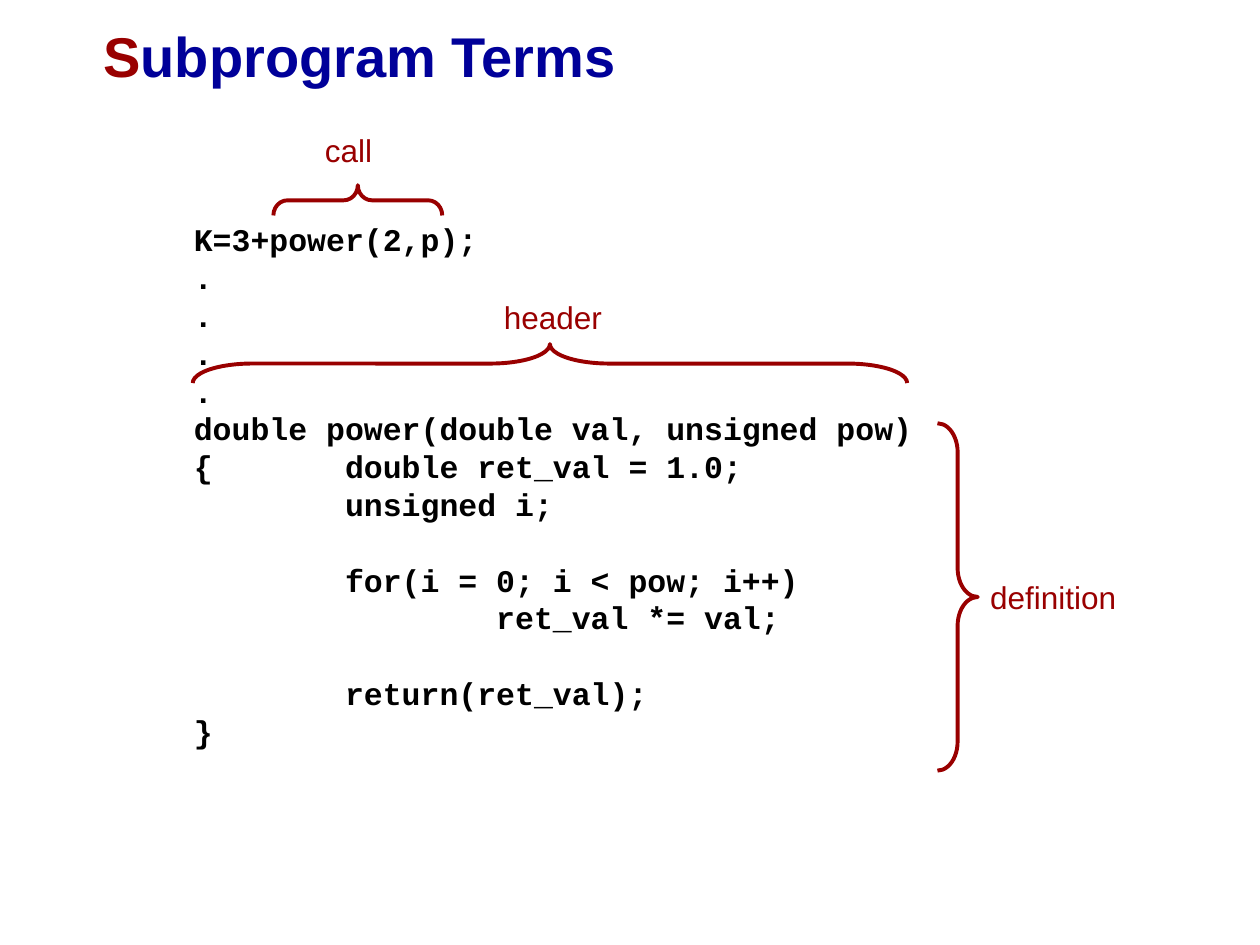
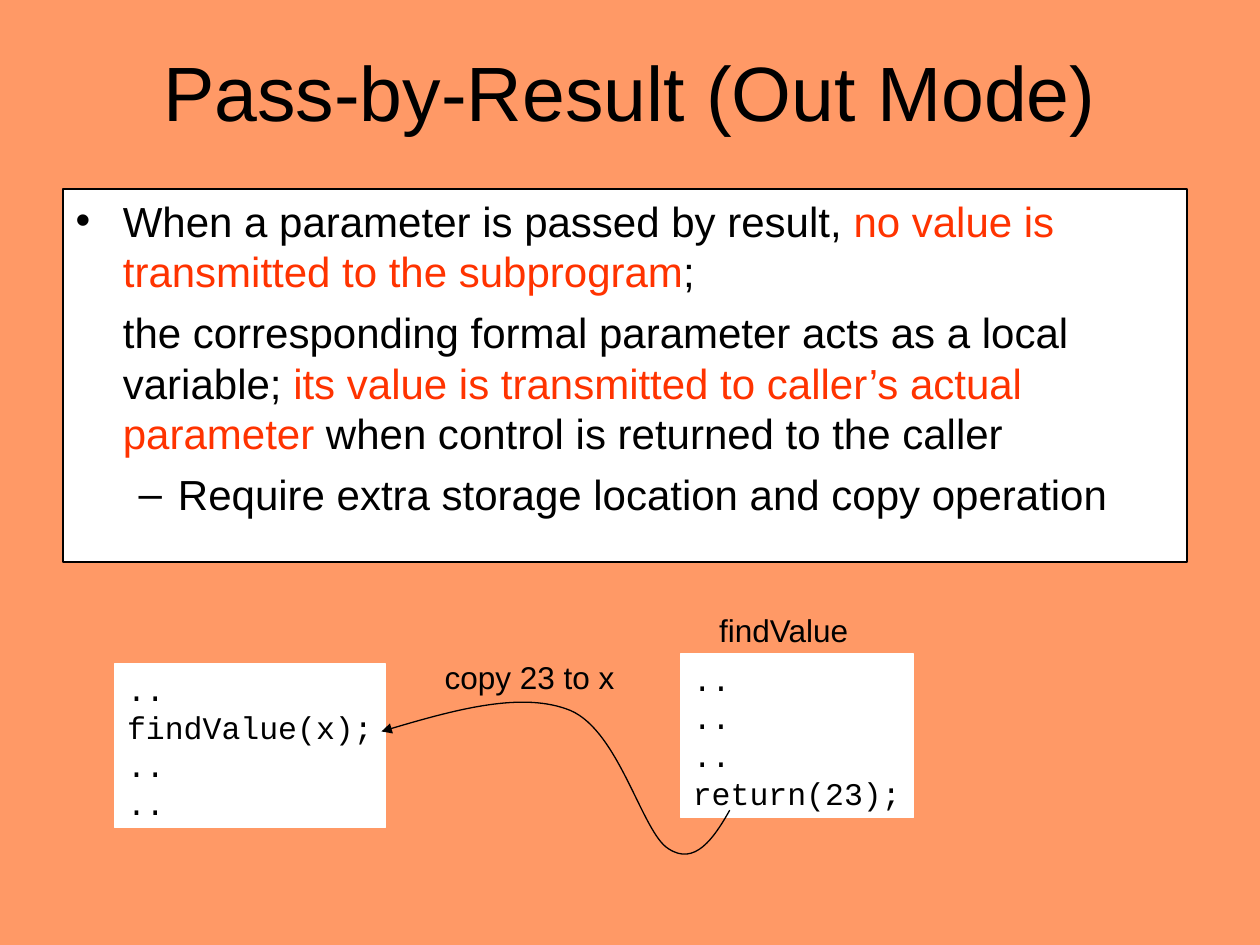
from pptx import Presentation
from pptx.dml.color import RGBColor
from pptx.enum.shapes import MSO_SHAPE as Preset
from pptx.enum.text import MSO_ANCHOR as Anchor, MSO_AUTO_SIZE as AutoSize, PP_ALIGN as Align
from pptx.oxml.ns import qn
from pptx.util import Pt
from lxml.etree import SubElement

BLACK, WHITE, DARK_RED, NAVY = "000000", "FFFFFF", "990000", "000099"
ORANGE, BRIGHT_RED = "FF9966", "FF3300"
SANS, MONO = "Arial", "Courier New"
LINE_HEIGHT = 1.2
TEXT_SIZE, BODY_SIZE = 18, 24

TERMS_TITLE = [("S", DARK_RED), ("ubprogram Terms", NAVY)]
TERMS_CODE = """K=3+power(2,p);
.
.
.
.
double power(double val, unsigned pow)
{       double ret_val = 1.0;
        unsigned i;

        for(i = 0; i < pow; i++)
                ret_val *= val;

        return(ret_val);
}"""
TERMS = [
    {"term": "call", "label": (178.56, 71.28, 41.04, 28.8),
     "brace": (156.24, 105.84, 96.48, 17.28), "faces_up": True},
    {"term": "header", "label": (280.8, 167.04, 70.56, 28.8),
     "brace": (110.16, 196.56, 408.24, 22.32), "faces_up": True},
    {"term": "definition", "label": (558.72, 326.88, 86.4, 28.8),
     "brace": (535.68, 241.92, 23.04, 198.48), "faces_up": False},
]

RESULT_TITLE = [("Pass-by-Result (Out Mode)", BLACK)]
RESULT_POINTS = [
    {"bullet": "•", "margin": 27, "hang": 27, "level": 0, "runs": [
        ("When a parameter is passed by result, ", BLACK),
        ("no value is transmitted to the subprogram", BRIGHT_RED),
        (";", BLACK)]},
    {"bullet": None, "margin": 27, "hang": 0, "level": 0, "runs": [
        ("the corresponding formal parameter acts as a local variable; ", BLACK),
        ("its value is transmitted to caller’s actual parameter", BRIGHT_RED),
        (" when control is returned to the caller", BLACK)]},
    {"bullet": "–", "margin": 58.5, "hang": 22.5, "level": 1, "runs": [
        ("Require extra storage location and copy operation", BLACK)]},
]
CODE_PANELS = [
    ("..\nfindValue(x);\n..\n..", (65.52, 379.44, 154.8, 93.6)),
    ("..\n..\n..\nreturn(23);", (388.8, 373.68, 133.2, 93.6)),
]
CAPTIONS = [
    ("findValue", (403.92, 345.6, 89.28, 28.8)),
    ("copy 23 to x", (246.96, 372.24, 111.6, 28.8)),
]
COPY_CURVE = [
    (416.88, 462.96), (407.5, 478.8), (397.4, 494.6), (382.32, 485.28),
    (367.2, 475.9), (353.5, 417.6), (326.16, 406.08),
    (298.8, 394.6), (258.5, 406.1), (218.16, 417.6),
]


def rgb(hex_color):
    return RGBColor.from_string(hex_color)


def new_slide(layout, background):
    slide = deck.slides.add_slide(deck.slide_layouts[layout])
    slide.background.fill.solid()
    slide.background.fill.fore_color.rgb = rgb(background)
    return slide


def place(shape, box):
    shape.left, shape.top, shape.width, shape.height = map(Pt, box)


def outline(shape, color, width):
    shape.line.color.rgb = rgb(color)
    shape.line.width = Pt(width)


def paint(shape, color):
    shape.fill.solid()
    shape.fill.fore_color.rgb = rgb(color)


def prepare(shape, wrap=False):
    frame = shape.text_frame
    frame.word_wrap = wrap
    frame.auto_size = AutoSize.NONE
    frame.vertical_anchor = Anchor.TOP
    frame.margin_left = frame.margin_right = Pt(7.2)
    frame.margin_top = frame.margin_bottom = Pt(3.6)
    return frame


def write(paragraph, runs, size, font=SANS, bold=False, align=Align.LEFT, before=0):
    paragraph.alignment = align
    paragraph.line_spacing = Pt(size * LINE_HEIGHT)
    paragraph.space_before = Pt(before)
    for text, color in runs:
        run = paragraph.add_run()
        run.text = text
        run.font.name, run.font.size, run.font.bold = font, Pt(size), bold
        run.font.color.rgb = rgb(color)


def next_paragraph(frame, index):
    return frame.add_paragraph() if index else frame.paragraphs[0]


def set_title(slide, runs, box, size, **style):
    place(slide.shapes.title, box)
    frame = prepare(slide.shapes.title)
    write(frame.paragraphs[0], runs, size, **style)


def write_code(shape, code, bold=False):
    frame = prepare(shape)
    index = gap = 0
    for line in code.split("\n"):
        if not line:
            gap += TEXT_SIZE * LINE_HEIGHT
            continue
        write(next_paragraph(frame, index), [(line, BLACK)], TEXT_SIZE, MONO, bold, before=gap)
        index, gap = index + 1, 0


def add_label(slide, text, box, color):
    label = slide.shapes.add_textbox(*map(Pt, box))
    write(prepare(label).paragraphs[0], [(text, color)], TEXT_SIZE)


def add_brace(slide, box, faces_up):
    left, top, width, height = box
    if faces_up:
        left, top = left + (width - height) / 2, top + (height - width) / 2
        width, height = height, width
    brace = slide.shapes.add_shape(Preset.RIGHT_BRACE, *map(Pt, (left, top, width, height)))
    brace.rotation = 270 if faces_up else 0
    brace.adjustments[0] = height / 12 / width
    brace.shadow.inherit = False
    brace.fill.background()
    outline(brace, DARK_RED, 2.25)


def add_copy_arrow(slide):
    start, *controls = COPY_CURVE
    builder = slide.shapes.build_freeform(*start, scale=Pt(1))
    builder.add_line_segments(controls, close=False)
    arrow = builder.convert_to_shape()
    arrow.shadow.inherit = False
    arrow.fill.background()
    outline(arrow, BLACK, 0.75)
    segments = list(arrow.element.iter(qn("a:lnTo")))
    outline_path = segments[0].getparent()
    for first in range(0, len(segments), 3):
        curve = SubElement(outline_path, qn("a:cubicBezTo"))
        for segment in segments[first:first + 3]:
            curve.append(segment[0])
            outline_path.remove(segment)
    SubElement(arrow.line._get_or_add_ln(), qn("a:tailEnd"), type="triangle")


def write_point(paragraph, point, before):
    paragraph.level = point["level"]
    properties = paragraph._p.get_or_add_pPr()
    properties.set("marL", str(Pt(point["margin"])))
    properties.set("indent", str(-Pt(point["hang"])))
    if point["bullet"]:
        bullet_color = SubElement(properties, qn("a:buClr"))
        SubElement(bullet_color, qn("a:srgbClr"), val=BLACK)
        SubElement(properties, qn("a:buFont"), typeface=SANS)
        SubElement(properties, qn("a:buChar"), char=point["bullet"])
    else:
        SubElement(properties, qn("a:buNone"))
    write(paragraph, point["runs"], BODY_SIZE, before=before)


def build_terms():
    slide = new_slide(5, WHITE)
    set_title(slide, TERMS_TITLE, (51.84, 8.64, 309.6, 46.08), 32, bold=True)
    code = slide.shapes.add_textbox(*map(Pt, (103.68, 122.4, 424.8, 309.6)))
    write_code(code, TERMS_CODE, bold=True)
    for term in TERMS:
        add_brace(slide, term["brace"], term["faces_up"])
        add_label(slide, term["term"], term["label"], DARK_RED)


def build_result():
    slide = new_slide(1, ORANGE)
    set_title(slide, RESULT_TITLE, (36, 21.6, 648, 90), 44, align=Align.CENTER)
    points = slide.placeholders[1]
    place(points, (36, 108, 642.24, 213.12))
    paint(points, WHITE)
    outline(points, BLACK, 0.75)
    frame = prepare(points, wrap=True)
    for index, point in enumerate(RESULT_POINTS):
        write_point(next_paragraph(frame, index), point, 6 if index else 0)
    for code, box in CODE_PANELS:
        panel = slide.shapes.add_shape(Preset.RECTANGLE, *map(Pt, box))
        panel.shadow.inherit = False
        paint(panel, WHITE)
        outline(panel, WHITE, 0.75)
        write_code(panel, code)
    add_copy_arrow(slide)
    for text, box in CAPTIONS:
        add_label(slide, text, box, BLACK)


deck = Presentation()
deck.slide_width, deck.slide_height = Pt(720), Pt(540)
build_terms()
build_result()
deck.save("out.pptx")
